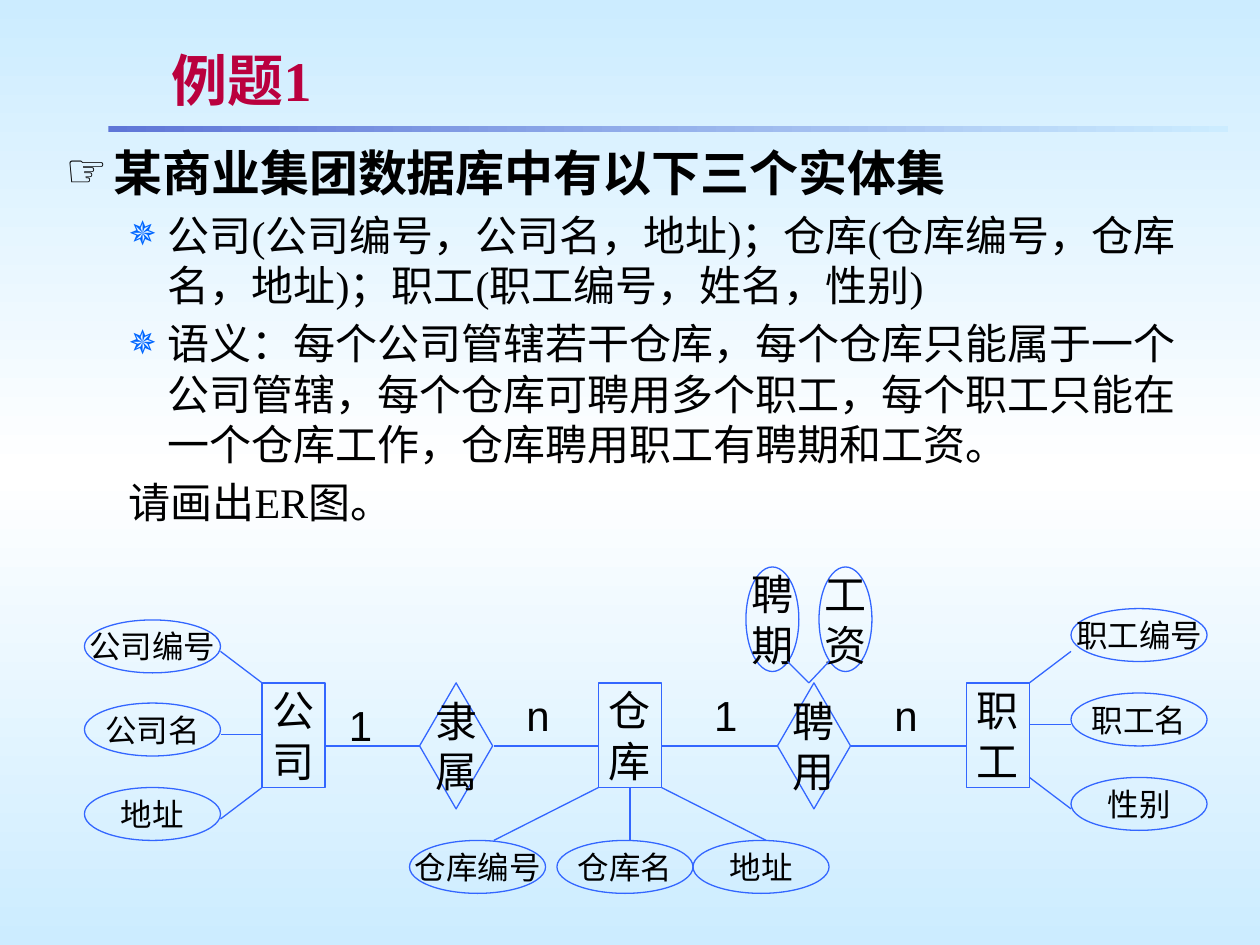
from copy import deepcopy
from dataclasses import dataclass

from lxml import etree
from pptx import Presentation
from pptx import util as u
from pptx.dml.color import RGBColor
from pptx.enum import shapes, text
from pptx.oxml import ns


@dataclass(frozen=True)
class Theme:
    ink: str = "000000"
    title: str = "BA003E"
    shade: str = "C0C0C0"
    line: str = "3366FF"
    star: str = "0066FF"
    sky: str = "CCECFF"
    white: str = "FFFFFF"
    bar: str = "5F76D7"
    serif: str = "Times New Roman"
    sans: str = "Arial"
    head: int = 32
    lead: int = 28
    main: int = 24
    small: int = 18


T = Theme()
KIND = shapes.MSO_SHAPE

POINTS = [
    "公司(公司编号，公司名，地址)；仓库(仓库编号，仓库名，地址)；职工(职工编号，姓名，性别)",
    "语义：每个公司管辖若干仓库，每个仓库只能属于一个公司管辖，每个仓库可聘用多个职工，"
    "每个职工只能在一个仓库工作，仓库聘用职工有聘期和工资。",
]


def rgb(code):
    return RGBColor.from_string(code)


def grid(*cells):
    return [u.Inches(round(cell / 12, 2)) for cell in cells]


def add_tag(parent, tag, **attrs):
    return etree.SubElement(parent, ns.qn(tag), attrs)


def set_mark(para, mark, color, size):
    props = para._p.get_or_add_pPr()
    if not mark:
        add_tag(props, "a:buNone")
        return
    add_tag(add_tag(props, "a:buClr"), "a:srgbClr", val=color)
    add_tag(props, "a:buSzPct", val=str(size * 1000))
    add_tag(props, "a:buChar", char=mark)


def write(frame, words, size=T.main, font=T.sans, color=T.ink, bold=False,
          align=None, level=0, indent=None, space=0, mark=None,
          tint=T.ink, scale=100, more=False):
    for i, line in enumerate(words.split("\n")):
        para = frame.add_paragraph() if more or i else frame.paragraphs[0]
        para.level = level
        para.alignment = align
        para.space_before = u.Pt(space)
        if indent:
            props = para._p.get_or_add_pPr()
            left, first = indent
            props.set("marL", str(u.Inches(left)))
            props.set("indent", str(u.Inches(first)))
            set_mark(para, mark, tint, scale)
        run = para.add_run()
        run.text = line
        run.font.size = u.Pt(size)
        run.font.name = font
        run.font.bold = bold
        run.font.color.rgb = rgb(color)


def place(holder, left, top, width, height):
    holder.left, holder.top = u.Inches(left), u.Inches(top)
    holder.width, holder.height = u.Inches(width), u.Inches(height)
    frame = holder.text_frame
    frame.auto_size = text.MSO_AUTO_SIZE.NONE
    return frame


def blend(fill, first, last, angle):
    fill.gradient()
    fill.gradient_angle = angle
    for stop, color, spot in zip(fill.gradient_stops, (first, last), (0, 1)):
        stop.color.rgb = rgb(color)
        stop.position = spot


def paint_back(slide):
    fill = slide.background.fill
    blend(fill, T.sky, T.white, 90)
    stops = slide.element.find(".//" + ns.qn("a:gsLst"))
    stops.append(deepcopy(stops[0]))
    for stop, spot in zip(fill.gradient_stops, (0, 0.5, 1)):
        stop.position = spot


def add_bar(slide):
    bar = slide.shapes.add_shape(KIND.RECTANGLE, u.Inches(0.86), u.Inches(1),
                                 u.Inches(8.89), u.Inches(0.05))
    bar.shadow.inherit = False
    bar.line.fill.background()
    blend(bar.fill, T.bar, T.sky, 0)


def add_title(slide):
    frame = place(slide.shapes.title, 1.26, 0.29, 8.24, 0.67)
    frame.vertical_anchor = text.MSO_ANCHOR.MIDDLE
    write(frame, "例题1", size=T.head, font=T.serif, color=T.title,
          bold=True, align=text.PP_ALIGN.LEFT)
    props = frame.paragraphs[0].runs[0]._r.get_or_add_rPr()
    glow = etree.Element(ns.qn("a:effectLst"))
    shade = add_tag(glow, "a:outerShdw", dist="25400", dir="2700000")
    add_tag(shade, "a:srgbClr", val=T.shade)
    props.find(ns.qn("a:latin")).addprevious(glow)


def add_body(slide):
    frame = place(slide.placeholders[1], 0.42, 1.08, 9.25, 6)
    write(frame, "某商业集团数据库中有以下三个实体集", size=T.lead, font=T.serif,
          bold=True, indent=(0.38, -0.38), mark="☞", scale=95)
    sub = dict(font=T.serif, level=1, indent=(0.81, -0.31), space=4.5, more=True)
    for point in POINTS:
        write(frame, point, mark="✵", tint=T.star, scale=80, **sub)
    write(frame, "请画出ER图。", **sub)


def add_node(slide, kind, words, box, size=T.main):
    node = slide.shapes.add_shape(kind, *grid(*box))
    node.shadow.inherit = False
    node.fill.background()
    node.line.color.rgb = rgb(T.line)
    node.line.width = u.Pt(0.75)
    frame = node.text_frame
    frame.word_wrap = False
    frame.vertical_anchor = text.MSO_ANCHOR.MIDDLE
    write(frame, words, size=size, align=text.PP_ALIGN.CENTER)


def add_link(slide, *ends):
    link = slide.shapes.add_connector(shapes.MSO_CONNECTOR.STRAIGHT, *grid(*ends))
    link.line.color.rgb = rgb(T.line)
    link.line.width = u.Pt(0.75)
    add_tag(link._element.spPr, "a:effectLst")


def add_label(slide, words, left, top):
    box = slide.shapes.add_textbox(*grid(left, top, 7, 6))
    box.text_frame.word_wrap = True
    write(box.text_frame, words)


def add_graph(slide):
    for words, left in (("公\n司", 25), ("仓\n库", 57), ("职\n工", 92)):
        add_node(slide, KIND.RECTANGLE, words, (left, 65, 6, 10))
    for words, left in (("隶\n属", 40), ("聘\n用", 74)):
        add_node(slide, KIND.DIAMOND, words, (left, 65, 7, 12))
    for words, left in (("聘\n期", 71), ("工\n资", 78)):
        add_node(slide, KIND.OVAL, words, (left, 54, 5, 10))

    for i, words in enumerate(("公司编号", "公司名", "地址")):
        add_node(slide, KIND.OVAL, words, (8, 59 + 8 * i, 13, 5), T.small)
    for i, words in enumerate(("职工编号", "职工名", "性别")):
        add_node(slide, KIND.OVAL, words, (102, 58 + 8 * i, 13, 5), T.small)
    for words, left in (("仓库编号", 39), ("仓库名", 53), ("地址", 66)):
        add_node(slide, KIND.OVAL, words, (left, 80, 13, 5), T.small)

    for start, end in ((31, 40), (47, 57), (63, 74), (81, 92)):
        add_link(slide, start, 71, end, 71)
    for start, end in ((65, 62), (70, 70), (75, 78)):
        add_link(slide, 25, start, 21, end)
    for start, end in ((65, 62), (69, 69), (74, 77)):
        add_link(slide, 98, start, 102, end)
    for start, end in ((57, 47), (60, 60), (63, 73)):
        add_link(slide, start, 75, end, 80)
    for end in (75, 79):
        add_link(slide, 77, 65, end, 63)

    for words, left, top in (("1", 32, 66), ("n", 49, 65), ("1", 66.8, 65), ("n", 84, 65)):
        add_label(slide, words, left, top)


def main():
    deck = Presentation()
    deck.slide_width, deck.slide_height = u.Inches(10), u.Inches(7.5)
    slide = deck.slides.add_slide(deck.slide_layouts[1])
    paint_back(slide)
    add_bar(slide)
    add_title(slide)
    add_body(slide)
    add_graph(slide)
    deck.save("out.pptx")


if __name__ == "__main__":
    main()
